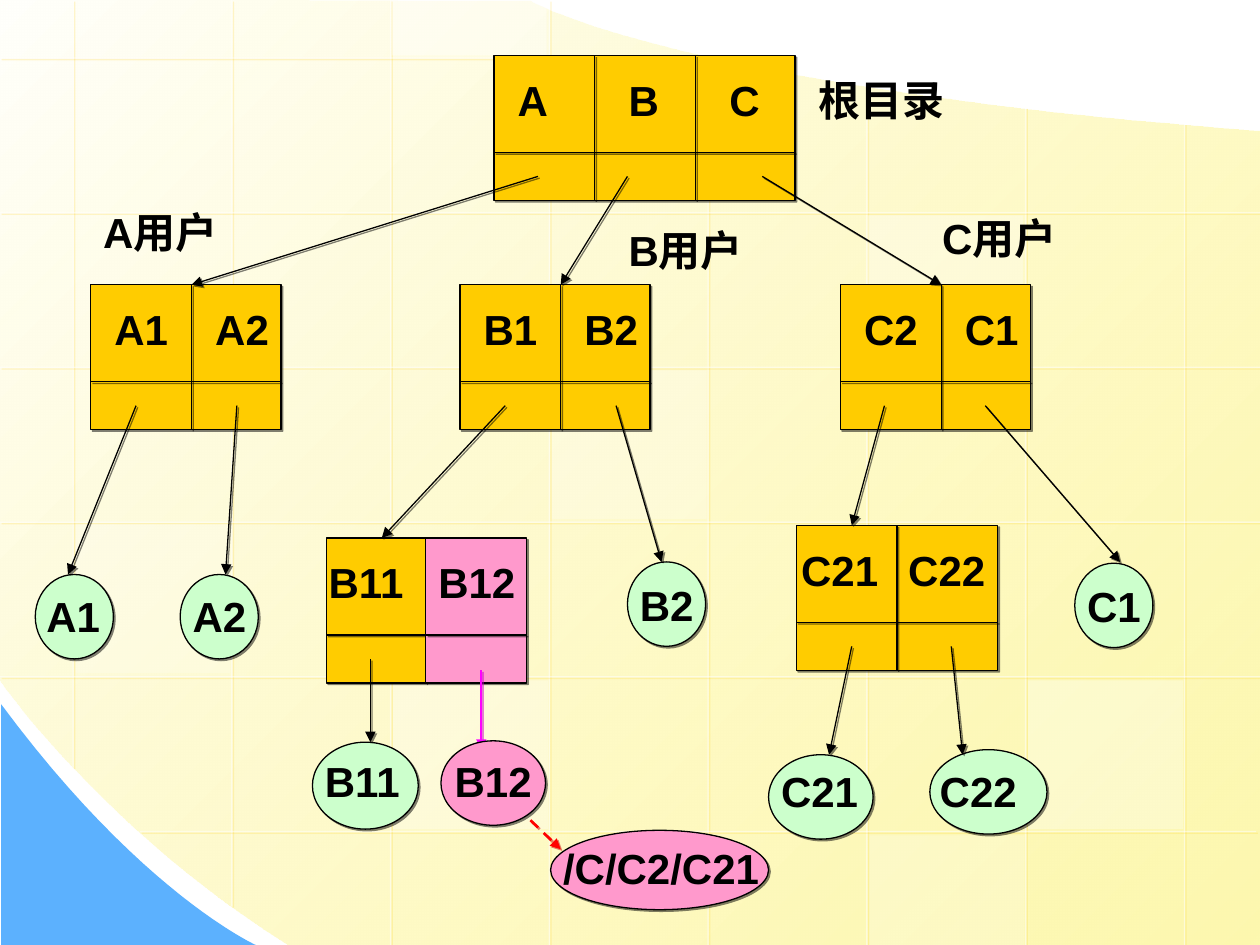
from lxml.etree import SubElement
from pptx import Presentation
from pptx.dml.color import RGBColor
from pptx.enum.dml import MSO_LINE
from pptx.enum.shapes import MSO_CONNECTOR, MSO_SHAPE
from pptx.oxml.ns import qn
from pptx.util import Inches, Pt

BLACK = RGBColor(0x00, 0x00, 0x00)
WHITE = RGBColor(0xFF, 0xFF, 0xFF)
GOLD = RGBColor(0xFF, 0xCC, 0x00)
GREEN = RGBColor(0xCC, 0xFF, 0xCC)
PINK = RGBColor(0xFF, 0x99, 0xCC)
MAGENTA = RGBColor(0xFF, 0x00, 0xFF)
PURPLE = RGBColor(0xCC, 0x00, 0xCC)
RED = RGBColor(0xFF, 0x00, 0x00)
DARK_RED = RGBColor(0xCC, 0x00, 0x00)
BLUE = RGBColor(0x5C, 0xB1, 0xFE)
CREAM = RGBColor(0xFF, 0xFF, 0xFB)
YELLOW = RGBColor(0xFD, 0xF5, 0x8D)

# Backdrop outlines: two numbers are a corner, six a Bezier segment
PAGE = [(10, 1.04), (10, 7.5), (2.3, 7.5), (0.86, 6.61, -0.01, 5.39, 0, 5.39),
        (-0.01, -0.01), (4.21, 0.01), (4.21, 0.01, 5.37, 0.69, 10, 1.04)]
CORNER = [(0.01, 5.59), (0.01, 7.5), (2.03, 7.5), (2.03, 7.5, 1.12, 7.09, 0.01, 5.59)]
# Grid line extents: top, bottom of each vertical; left, right of each horizontal
GRID_X, GRID_Y, GRID_DX, GRID_DY = 0.58, 0.46, 1.26, 1.228
VERTICALS = [(0, 6.09), (0, 7.19), (0, 7.5), (0, 7.5), (0.43, 7.5), (0.68, 7.5),
             (0.85, 7.5), (0.98, 7.5)]
HORIZONTALS = [(0, 5.68)] + [(0, 10)] * 4 + [(1.11, 9.97)]
# Tinted grid squares: left, top, width, height, opacity
TINTS = [(4.38, 2.94, 1.23, 1.18, 25), (8.16, 5.4, 1.23, 1.18, 30),
         (0.6, 4.16, 1.23, 1.18, 20), (6.9, 6.63, 1.23, 0.87, 20),
         (3.11, 0, 1.23, 0.44, 40), (3.12, 5.4, 1.23, 1.18, 30),
         (6.89, 1.71, 1.23, 1.18, 30)]

# Directories: left, top, width, colour, [(entry, label offset)]
DIRECTORIES = [
    (3.92, 0.44, 2.39, GOLD, [("A", 0.09), ("B", 0.97), ("C", 1.77)]),
    (0.72, 2.26, 1.51, GOLD, [("A1", 0.09), ("A2", 0.89)]),
    (3.65, 2.26, 1.51, GOLD, [("B1", 0.09), ("B2", 0.89)]),
    (6.67, 2.26, 1.51, GOLD, [("C2", 0.09), ("C1", 0.89)]),
    (6.32, 4.17, 1.6, GOLD, [("C21", -0.06), ("C22", 0.79)]),
    (2.59, 4.27, 0.79, GOLD, [("B11", -0.08)]),
    (3.38, 4.27, 0.8, PINK, [("B12", 0)]),
]
DIR_HEIGHT, CELL_WIDTH, NAME_HEIGHT, NAME_TOP = 1.15, 0.8, 0.77, 0.1

# Files: name, left, top, width, height, colour, label left, label top
FILES = [
    ("A1", 0.28, 4.56, 0.62, 0.67, GREEN, 0.27, 4.64),
    ("A2", 1.43, 4.56, 0.62, 0.67, GREEN, 1.43, 4.64),
    ("B2", 4.98, 4.46, 0.62, 0.67, GREEN, 4.98, 4.55),
    ("C21", 6.1, 5.99, 0.83, 0.67, GREEN, 6.1, 6.03),
    ("C1", 8.53, 4.47, 0.62, 0.67, GREEN, 8.53, 4.56),
    ("C22", 7.38, 5.95, 0.93, 0.67, GREEN, 7.36, 6.03),
    ("B11", 2.48, 5.89, 0.84, 0.69, GREEN, 2.48, 5.95),
    ("B12", 3.5, 5.88, 0.83, 0.67, PINK, 3.51, 5.95),
    ("/C/C2/C21", 4.37, 6.59, 1.73, 0.63, PINK, 4.37, 6.64),
]
CAPTIONS = [("根目录", 6.4, 0.54), ("A用户", 0.72, 1.59), ("B用户", 4.89, 1.73),
            ("C用户", 7.38, 1.64)]
POINTERS = [
    (4.27, 1.4, 1.52, 2.26), (4.98, 1.4, 4.45, 2.26), (6.05, 1.4, 7.47, 2.26),
    (1.08, 3.22, 0.54, 4.56), (1.88, 3.22, 1.79, 4.56), (4.01, 3.22, 3.03, 4.27),
    (4.89, 3.22, 5.25, 4.46), (7.02, 3.22, 6.76, 4.17), (7.82, 3.22, 8.89, 4.46),
    (6.76, 5.13, 6.58, 5.99), (7.55, 5.13, 7.64, 5.99), (2.94, 5.23, 2.94, 5.89),
]
LINK_ENTRY = (3.82, 5.32, 3.82, 5.95)
LINK_TARGET = (4.21, 6.51, 4.45, 6.74)

prs = Presentation()
prs.slide_width, prs.slide_height = Inches(10), Inches(7.5)
s = prs.slides.add_slide(prs.slide_layouts[6])


def set_alpha(props, percent):
    for clr in list(props.iter(qn("a:srgbClr")))[-1:]:
        SubElement(clr, qn("a:alpha"), val=str(percent * 1000))


def add_shadow(props, color=BLACK, percent=50):
    effects = SubElement(props, qn("a:effectLst"))
    shadow = SubElement(effects, qn("a:outerShdw"), dist=str(Pt(1.4)), dir="2700000",
                        algn="ctr", rotWithShape="0")
    SubElement(shadow, qn("a:srgbClr"), val=str(color))
    set_alpha(shadow, percent)


def add_line(x1, y1, x2, y2, color=BLACK, width=0.75, shadow=BLACK, arrow=False,
             dash=None, alpha=None, shadow_alpha=50):
    sp = s.shapes.add_connector(MSO_CONNECTOR.STRAIGHT, *map(Inches, (x1, y1, x2, y2)))
    sp.line.color.rgb, sp.line.width = color, Pt(width)
    if dash:
        sp.line.dash_style = dash
    ln = sp.line._get_or_add_ln()
    if alpha:
        set_alpha(ln, alpha)
    if arrow:
        SubElement(ln, qn("a:tailEnd"), type="triangle")
    add_shadow(sp._element.spPr, shadow, shadow_alpha)


def add_node(kind, x, y, w, h, color):
    sp = s.shapes.add_shape(kind, *map(Inches, (x, y, w, h)))
    sp.fill.solid()
    sp.fill.fore_color.rgb = color
    sp.line.color.rgb, sp.line.width = BLACK, Pt(0.75)
    add_shadow(sp._element.spPr)


def add_label(text, x, y):
    width = 0.6 + 0.15 * len(text) if text.isascii() else 1.5
    tf = s.shapes.add_textbox(*map(Inches, (x, y, width, 0.5))).text_frame
    tf.word_wrap = True
    r = tf.paragraphs[0].add_run()
    r.text = text
    for name, value in {"name": "Arial", "size": Pt(24), "bold": True}.items():
        setattr(r.font, name, value)
    r.font.color.rgb = BLACK
    latin = r._r.rPr.find(qn("a:latin"))
    add_shadow(r._r.rPr)
    r._r.rPr.append(latin)


def add_outline(segments, steps=24):
    """Add a closed freeform, with its Bezier segments sampled as points."""
    points = []
    for seg in segments:
        if len(seg) == 2:
            points.append(seg)
            continue
        ctrl = [points[-1], seg[:2], seg[2:4], seg[4:]]
        for i in range(1, steps + 1):
            t = i / steps
            weights = ((1 - t) ** 3, 3 * t * (1 - t) ** 2, 3 * t * t * (1 - t), t ** 3)
            points.append(tuple(sum(w * c[k] for w, c in zip(weights, ctrl))
                                for k in (0, 1)))
    emu = [(Inches(x), Inches(y)) for x, y in points]
    fb = s.shapes.build_freeform(*emu[0])
    fb.add_line_segments(emu[1:], close=True)
    sp = fb.convert_to_shape()
    sp.shadow.inherit = False
    sp.line.fill.background()
    return sp


def add_backdrop():
    fill = add_outline(PAGE).fill
    fill.gradient()
    fill.gradient_angle = 315
    for stop, color, position in zip(fill.gradient_stops, (CREAM, YELLOW), (0, 1)):
        stop.color.rgb, stop.position = color, position
    set_alpha(s.shapes[-1]._element.spPr, 70)
    fill = add_outline(CORNER).fill
    fill.solid()
    fill.fore_color.rgb = BLUE
    style = {"color": WHITE, "alpha": 50, "shadow": GOLD, "shadow_alpha": 34}
    for i, (top, bottom) in enumerate(VERTICALS):
        x = GRID_X + i * GRID_DX
        add_line(x, top, x, bottom, **style)
    for i, (left, right) in enumerate(HORIZONTALS):
        y = GRID_Y + i * GRID_DY
        add_line(right, y, left, y, **style)
    for *box, alpha in TINTS:
        sp = s.shapes.add_shape(MSO_SHAPE.RECTANGLE, *map(Inches, box))
        sp.shadow.inherit = False
        sp.line.fill.background()
        sp.fill.solid()
        sp.fill.fore_color.rgb = WHITE
        set_alpha(sp._element.spPr, alpha)


add_backdrop()
for x, y, w, color, entries in DIRECTORIES:
    add_node(MSO_SHAPE.RECTANGLE, x, y, w, DIR_HEIGHT, color)
    for i, (name, offset) in enumerate(entries):
        if i:
            add_line(x + i * CELL_WIDTH, y, x + i * CELL_WIDTH, y + DIR_HEIGHT)
        add_label(name, x + offset, y + NAME_TOP)
    add_line(x, y + NAME_HEIGHT, x + w, y + NAME_HEIGHT)

add_line(*LINK_ENTRY, color=MAGENTA, width=1, shadow=PURPLE, arrow=True)
for name, x, y, w, h, color, label_x, label_y in FILES:
    add_node(MSO_SHAPE.OVAL, x, y, w, h, color)
    add_label(name, label_x, label_y)
for pointer in POINTERS:
    add_line(*pointer, arrow=True)
add_line(*LINK_TARGET, color=RED, width=1.5, shadow=DARK_RED, arrow=True,
         dash=MSO_LINE.DASH)
for caption in CAPTIONS:
    add_label(*caption)

prs.save("out.pptx")
